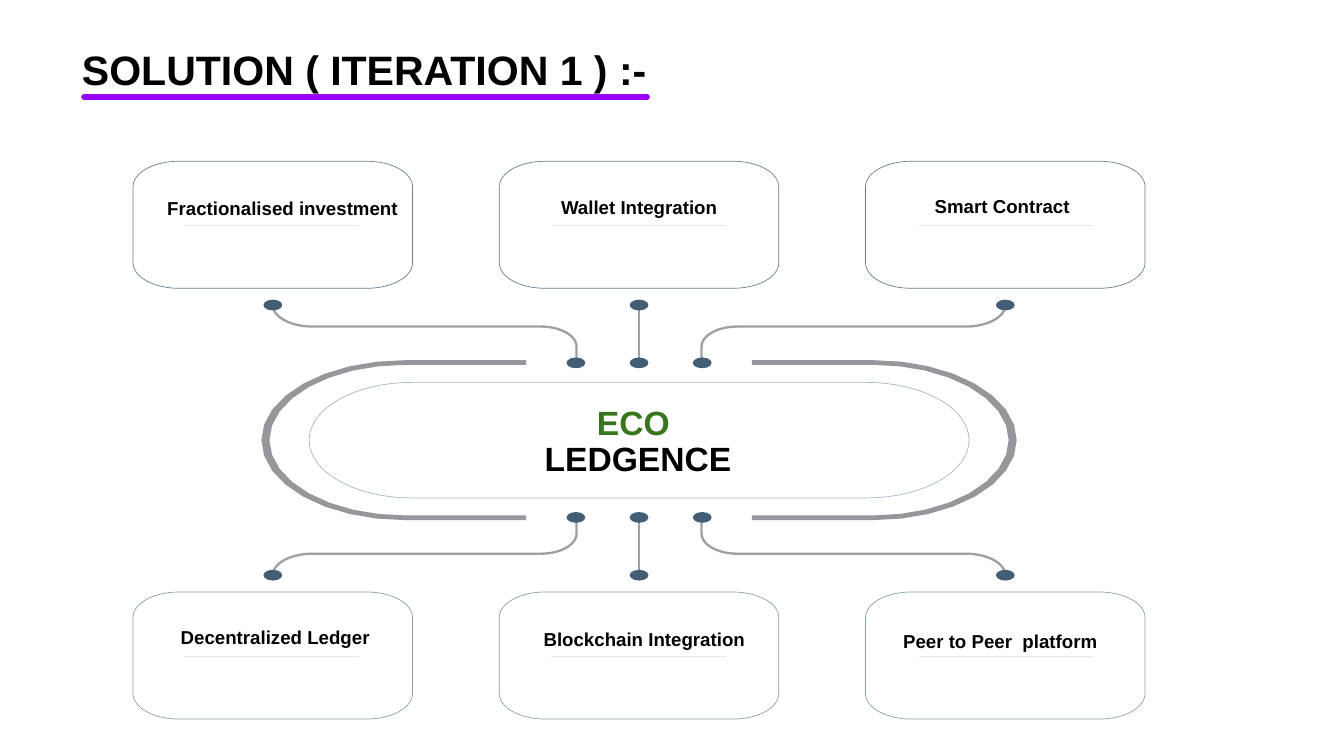
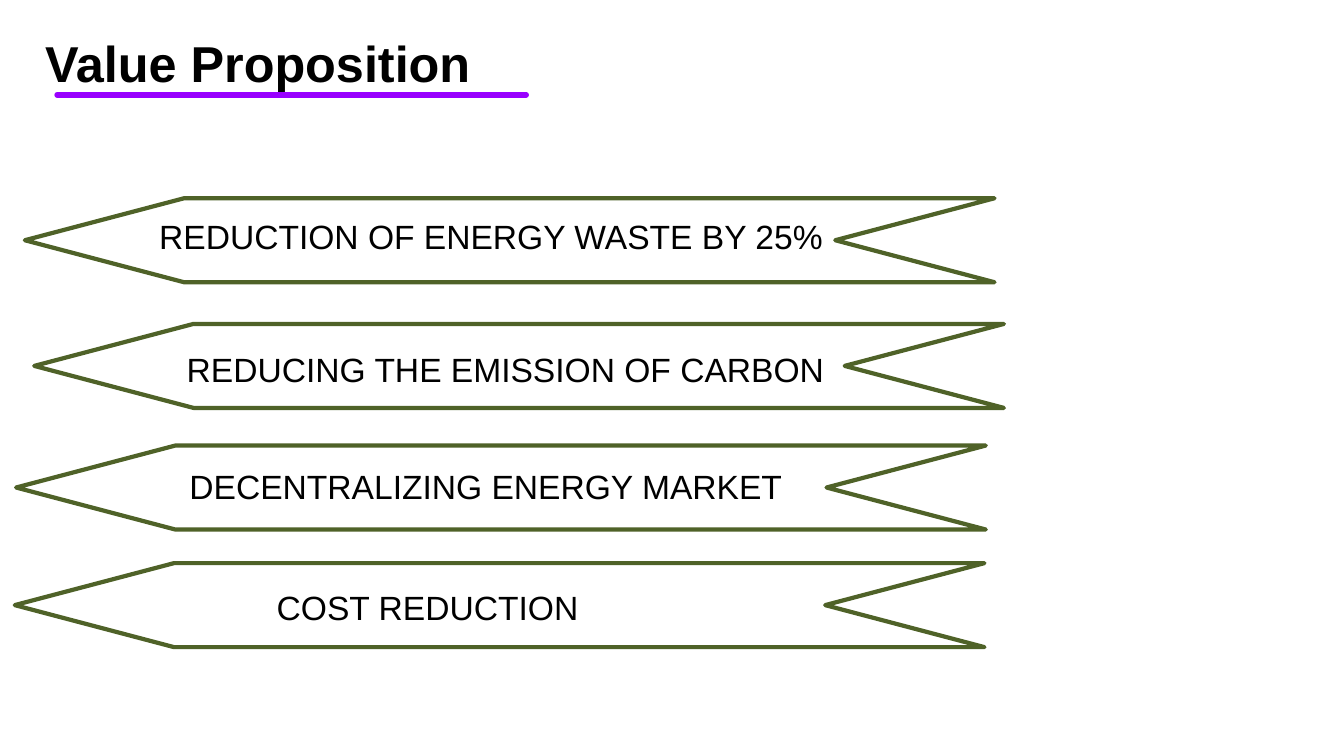
import math

import pptx
import pptx.dml.color
import pptx.enum.shapes
import pptx.enum.text
import pptx.oxml
import pptx.oxml.ns
import pptx.util

PX = 9144  # 100 px to the inch
SLIDE_SIZE = (2000, 1125)
FONT = "Arial"
BLACK, PURPLE, GREEN, OLIVE = "000000", "9900FF", "38761D", "4F6228"
NAVY, BRACKET_GREY, LINK_GREY = "435D74", "96979B", "9FA0A4"
HUB_EDGE, RULE_GREY = "A5B7C6", "E3E9ED"
PP_ALIGN = pptx.enum.text.PP_ALIGN

SOLUTION = {
    "title": "SOLUTION ( ITERATION 1 ) :-",
    "box": (112, 61, 1000, 84), "size": 44, "align": PP_ALIGN.JUSTIFY,
    "underline": (125, 963, 144),
}
VALUE = {
    "title": "Value Proposition",
    "box": (57, 43, 863, 101), "size": 54, "align": PP_ALIGN.LEFT,
    "underline": (85, 783, 141),
}

# Rows of cards: top, edge colour, then (label, label left, top, width)
CARD_ROWS = [
    (240, "657E93", [
        ("Fractionalised investment", 239, 288, 367),
        ("Wallet Integration", 825, 286, 349),
        ("Smart Contract", 1381, 285, 298),
    ]),
    (881, "869FB2", [
        ("Decentralized Ledger", 259, 926, 340),
        ("Blockchain Integration", 799, 929, 367),
        ("Peer to Peer  platform", 1334, 932, 482),
    ]),
]
CARD_LEFT, CARD_STEP, CARD_WIDTH, CARD_HEIGHT = 198, 545, 416, 189
RULE_LEFTS, RULE_WIDTH, RULE_DROP = (274, 820, 1367), 260, 95

CENTRE_X, CENTRE_Y = 951, 655
HUB_BOX = (460, 569, 982, 172)
HUB_NAME = [("ECO ", GREEN), ("LEDGENCE", BLACK)]
DOT_WIDTH, DOT_HEIGHT = 28, 16

# Banners: label, label box, banner left, top
BANNERS = [
    ("REDUCTION OF ENERGY WASTE BY 25%", (227, 317, 1122, 71), 37, 295),
    ("REDUCING THE EMISSION OF CARBON", (268, 515, 1043, 71), 51, 482),
    ("DECENTRALIZING ENERGY MARKET", (272, 688, 1005, 71), 24, 663),
    ("COST REDUCTION", (402, 868, 613, 71), 22, 838),
]
BANNER_WIDTH, BANNER_HEIGHT, BANNER_NOTCH = 1443, 125, 237


def rgb(code):
    return pptx.dml.color.RGBColor.from_string(code)


def emu(*lengths):
    return [round(length * PX) for length in lengths]


def style(shape, fill=None, edge=None, width=0.75):
    shape.shadow.inherit = False
    if fill:
        shape.fill.solid()
        shape.fill.fore_color.rgb = rgb(fill)
    else:
        shape.fill.background()
    if edge:
        shape.line.color.rgb = rgb(edge)
        shape.line.width = pptx.util.Pt(width)
    else:
        shape.line.fill.background()


def add_line(shapes, x1, y1, x2, y2, color, width, cap="flat"):
    line = shapes.add_connector(
        pptx.enum.shapes.MSO_CONNECTOR.STRAIGHT, *emu(x1, y1, x2, y2))
    line.line.color.rgb = rgb(color)
    line.line.width = pptx.util.Pt(width)
    line.line._get_or_add_ln().set("cap", cap)
    line._element.spPr.append(pptx.oxml.parse_xml(
        "<a:effectLst %s/>" % pptx.oxml.ns.nsdecls("a")))


def add_outline(shapes, points, close=True, **look):
    start, *rest = [emu(x, y) for x, y in points]
    builder = shapes.build_freeform(*start, scale=1.0)
    builder.add_line_segments(rest, close=close)
    style(builder.convert_to_shape(), **look)


def arc(cx, cy, rx, ry, start, end, steps=16):
    """Points on an ellipse; degrees run clockwise from the right."""
    angles = [math.radians(start + (end - start) * i / steps)
              for i in range(steps + 1)]
    return [(cx + rx * math.cos(a), cy + ry * math.sin(a)) for a in angles]


def rounded_box(left, top, width, height, rx, ry):
    x1, x2 = left + rx, left + width - rx
    y1, y2 = top + ry, top + height - ry
    corners = [(x1, y1, 180), (x2, y1, 270), (x2, y2, 0), (x1, y2, 90)]
    return [point for x, y, start in corners
            for point in arc(x, y, rx, ry, start, start + 90)]


def mirrored(points, flip_x, flip_y):
    """Reflect points about the centre of the hub."""
    return [(2 * CENTRE_X - x if flip_x else x,
             2 * CENTRE_Y - y if flip_y else y) for x, y in points]


def write(shape, lines, size, bold, align=PP_ALIGN.LEFT, spacing=None):
    frame = shape.text_frame
    frame.word_wrap = True
    frame.auto_size = pptx.enum.text.MSO_AUTO_SIZE.SHAPE_TO_FIT_TEXT
    frame.vertical_anchor = pptx.enum.text.MSO_ANCHOR.TOP
    for i, (text, color) in enumerate(lines):
        paragraph = frame.add_paragraph() if i else frame.paragraphs[0]
        paragraph.alignment = align
        if spacing:
            paragraph.line_spacing = spacing
        run = paragraph.add_run()
        run.text = text
        run.font.name = FONT
        run.font.size = pptx.util.Pt(size)
        run.font.bold = bold
        run.font.color.rgb = rgb(color)


def add_text(slide, box, lines, size, bold=False, **layout):
    write(slide.shapes.add_textbox(*emu(*box)), lines, size, bold, **layout)


def add_titled_slide(deck, heading):
    slide = deck.slides.add_slide(deck.slide_layouts[5])
    title = slide.shapes.title
    title.left, title.top, title.width, title.height = emu(*heading["box"])
    write(title, [(heading["title"], BLACK)], heading["size"], True,
          heading["align"])
    left, right, y = heading["underline"]
    add_line(slide.shapes, left, y, right, y, PURPLE, 6, "rnd")
    return slide


def draw_hub(shapes):
    add_outline(shapes, rounded_box(*HUB_BOX, 153, 86), edge=HUB_EDGE)
    bracket = [(1119, 536), *arc(1300, CENTRE_Y, 213, 119, -90, 90),
               (1119, 774), (1119, 767),
               *arc(1300, CENTRE_Y, 201, 112, 90, -90), (1119, 543)]
    for flip_x in (False, True):
        add_outline(shapes, mirrored(bracket, flip_x, False),
                    fill=BRACKET_GREY)


def draw_links(shapes):
    elbow = [*arc(465, 454, 59, 32, 180, 90),
             *arc(805, 516, 53, 30, -90, 0), (858, 540)]
    stem = [(CENTRE_X, 454), (CENTRE_X, 540)]
    for flip_y in (False, True):
        for flip_x in (False, True):
            add_outline(shapes, mirrored(elbow, flip_x, flip_y),
                        close=False, edge=LINK_GREY, width=2.5)
        start, end = mirrored(stem, False, flip_y)
        add_line(shapes, *start, *end, LINK_GREY, 2.75)
        dots = [(x, y) for y, reach in ((454, 545), (540, 94))
                for x in (CENTRE_X - reach, CENTRE_X, CENTRE_X + reach)]
        for x, y in mirrored(dots, False, flip_y):
            dot = shapes.add_shape(
                pptx.enum.shapes.MSO_SHAPE.OVAL,
                *emu(x - DOT_WIDTH / 2, y - DOT_HEIGHT / 2,
                     DOT_WIDTH, DOT_HEIGHT))
            style(dot, fill=NAVY)


def draw_cards(slide, shapes):
    for top, edge, labels in CARD_ROWS:
        for column, (label, left, label_top, width) in enumerate(labels):
            card = rounded_box(CARD_LEFT + column * CARD_STEP, top,
                               CARD_WIDTH, CARD_HEIGHT, 68, 38)
            add_outline(shapes, card, edge=edge)
            rule_left, rule_y = RULE_LEFTS[column], top + RULE_DROP
            add_line(shapes, rule_left, rule_y, rule_left + RULE_WIDTH,
                     rule_y, RULE_GREY, 0.75)
            add_text(slide, (left, label_top, width, 44),
                     [(label, BLACK)], 20, bold=True)


def build_solution(deck):
    slide = add_titled_slide(deck, SOLUTION)
    diagram = slide.shapes.add_group_shape().shapes
    draw_hub(diagram)
    draw_links(diagram)
    draw_cards(slide, diagram)
    add_text(slide, (577, 600, 745, 119), HUB_NAME, 36, bold=True,
             align=PP_ALIGN.CENTER, spacing=0.9)


def build_value(deck):
    slide = add_titled_slide(deck, VALUE)
    for label, box, left, top in BANNERS:
        right, bottom = left + BANNER_WIDTH, top + BANNER_HEIGHT
        middle = top + BANNER_HEIGHT / 2
        banner = [(right, bottom), (right - BANNER_NOTCH, middle),
                  (right, top), (left + BANNER_NOTCH, top),
                  (left, middle), (left + BANNER_NOTCH, bottom)]
        add_outline(slide.shapes, banner, edge=OLIVE, width=4.5)
        add_text(slide, box, [(label, BLACK)], 36)


def main():
    deck = pptx.Presentation()
    deck.slide_width, deck.slide_height = emu(*SLIDE_SIZE)
    build_solution(deck)
    build_value(deck)
    deck.save("out.pptx")


if __name__ == "__main__":
    main()
